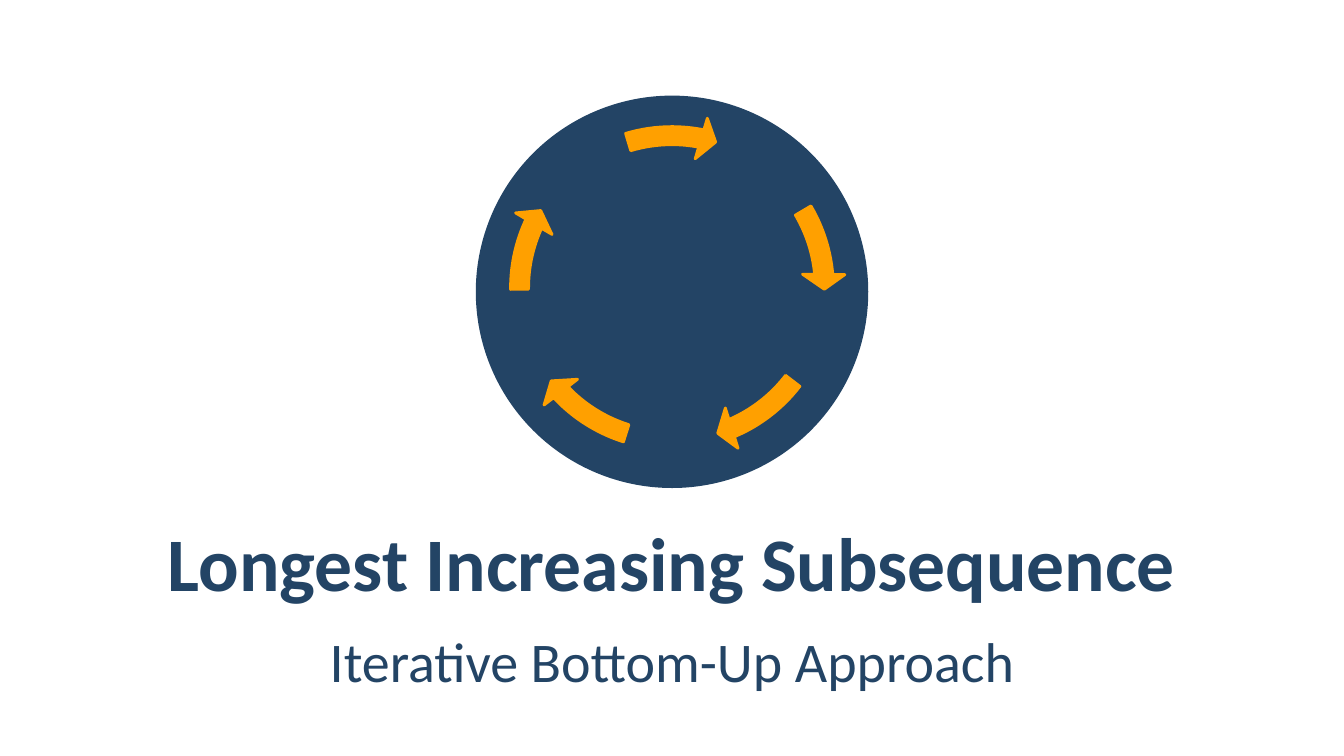
from pptx import Presentation
from pptx.dml.color import RGBColor as Rgb
from pptx.enum.shapes import MSO_SHAPE as Kind
from pptx.enum.text import MSO_ANCHOR as Anchor, MSO_AUTO_SIZE as Fit, PP_ALIGN as Align
from pptx.util import Inches, Pt

WIDE, HIGH = Inches(13.33), Inches(7.5)
HUES = {"navy": "234465", "amber": "FFA000", "white": "FFFFFF"}
HEADS = [(329.44, 354.89), (37.56, 66.91), (107.49, 136.84), (179.52, 204.96), (253.31, 281.09)]


def hue(name):
    return Rgb.from_string(HUES[name])


def put(obj, vals):
    for key, val in vals.items():
        setattr(obj, key, val)


def disc(shapes, kind, mid, size, tint):
    span = int(HIGH * size)
    left, top = int(WIDE * mid[0]) - span // 2, int(HIGH * mid[1]) - span // 2
    shape = shapes.add_shape(kind, left, top, span, span)
    shape.shadow.inherit = False
    shape.fill.solid()
    shape.fill.fore_color.rgb = hue(tint)
    shape.line.fill.background()
    return shape


def arrow(shapes, start, end):
    shape = disc(shapes, Kind.CIRCULAR_ARROW, (0.5, 0.381), 0.459, "amber")
    bends = (0.052, 3.359, end * 0.6, start * 0.6, 0.061)
    for num, val in enumerate(bends):
        shape.adjustments[num] = val
    shape.line.color.rgb = hue("amber")
    shape.line.width = Pt(2)


def label(shape, text, row, size, bold, lead):
    put(shape, {"left": int(WIDE * 0.05), "top": int(HIGH * row),
                "width": int(WIDE * 0.9), "height": int(HIGH * 0.112)})
    frame = shape.text_frame
    frame.text = text
    put(frame, {"word_wrap": True, "auto_size": Fit.NONE, "vertical_anchor": Anchor.MIDDLE,
                "margin_left": Inches(0.12), "margin_right": Inches(0.12),
                "margin_top": Inches(0.04), "margin_bottom": Inches(0.04)})
    para = frame.paragraphs[0]
    put(para, {"alignment": Align.CENTER, "line_spacing": lead,
               "space_before": Pt(0), "space_after": Pt(0)})
    font = para.runs[0].font
    put(font, {"name": "Calibri", "size": Pt(size), "bold": bold})
    font.color.rgb = hue("navy")


def main():
    deck = Presentation()
    put(deck, {"slide_width": WIDE, "slide_height": HIGH})
    slide = deck.slides.add_slide(deck.slide_layouts[0])
    slide.background.fill.solid()
    slide.background.fill.fore_color.rgb = hue("white")
    disc(slide.shapes, Kind.OVAL, (0.5, 0.386), 0.519, "navy")
    label(slide.shapes.title, "Longest Increasing Subsequence", 0.687, 54, True, 1.0)
    label(slide.placeholders[1], "Iterative Bottom-Up Approach", 0.815, 40, False, 1.05)
    cycle = slide.shapes.add_group_shape()
    for start, end in HEADS:
        arrow(cycle.shapes, start, end)
    deck.save("out.pptx")


if __name__ == "__main__":
    main()
